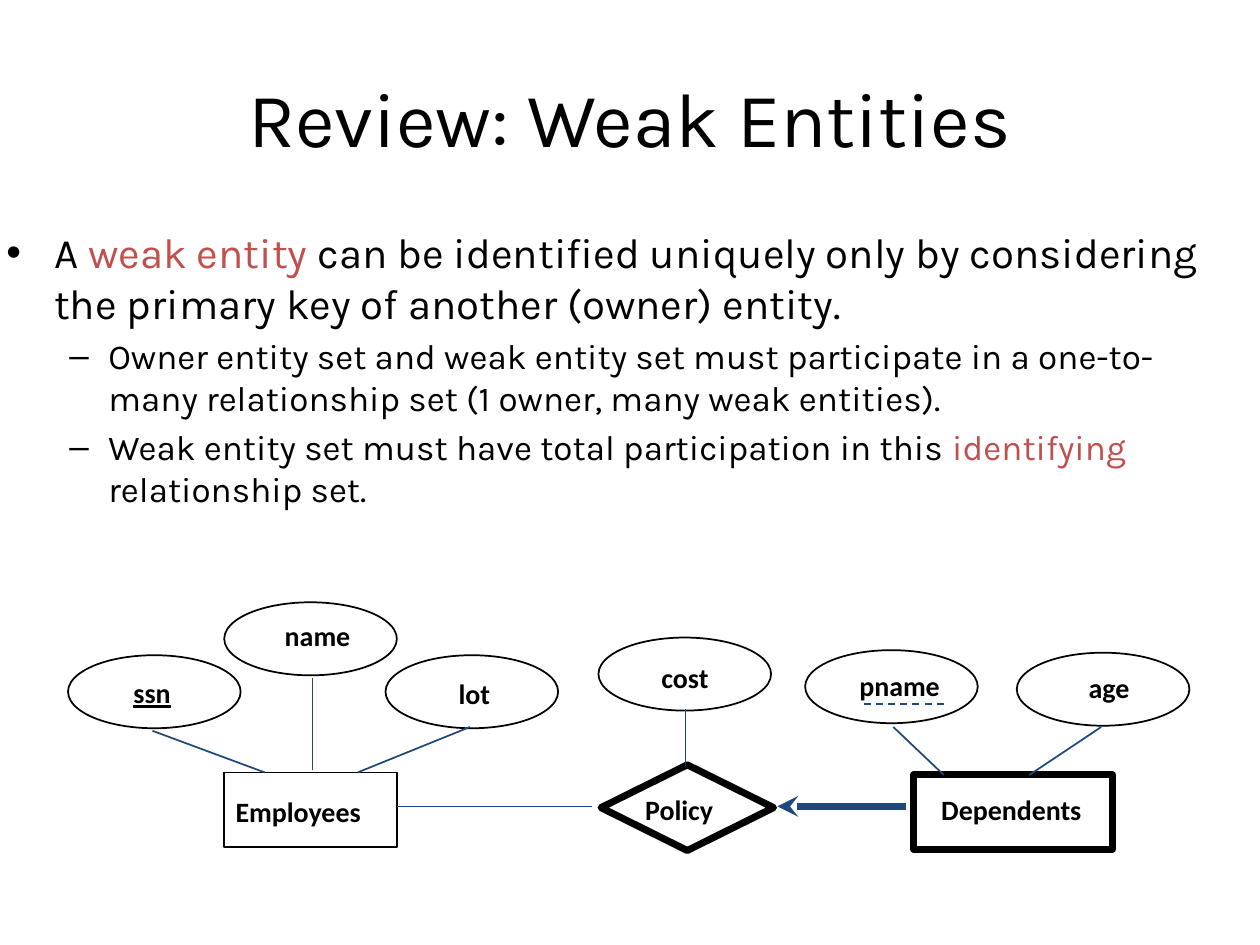
from dataclasses import dataclass

import lxml.etree
import pptx
import pptx.dml.color
import pptx.enum.dml
import pptx.enum.shapes
import pptx.enum.text
import pptx.oxml.ns
import pptx.util

COLUMNS, ROWS = 100, 75
Shape = pptx.enum.shapes.MSO_SHAPE
Align = pptx.enum.text.PP_ALIGN
Anchor = pptx.enum.text.MSO_ANCHOR
AutoSize = pptx.enum.text.MSO_AUTO_SIZE


@dataclass(frozen=True)
class Theme:
    ink: str = "000000"
    accent: str = "C0504D"
    link: str = "1F497D"
    text_font: str = "Karla"
    label_font: str = "Calibri"
    title_size: int = 44
    list_sizes: tuple = (24, 20)
    label_size: int = 16
    thin: int = 1
    thick: int = 4
    inset: float = 0.05


def color(value):
    return pptx.dml.color.RGBColor.from_string(value)


def add_xml(parent, tag, **attributes):
    return lxml.etree.SubElement(parent, pptx.oxml.ns.qn(tag), attributes)


def write(paragraph, text, *, font, size, ink, bold=False, underline=False):
    run = paragraph.add_run()
    run.text = text
    run.font.name = font
    run.font.size = pptx.util.Pt(size)
    run.font.color.rgb = color(ink)
    run.font.bold = bold
    run.font.underline = underline


class DiagramSlide:
    def __init__(self, presentation, theme):
        self.theme = theme
        self.slide = presentation.slides.add_slide(presentation.slide_layouts[1])
        self.column = presentation.slide_width / COLUMNS
        self.row = presentation.slide_height / ROWS

    def place(self, left, top, width, height):
        return (round(left * self.column), round(top * self.row),
                round(width * self.column), round(height * self.row))

    def prepare(self, shape, box, auto_size=AutoSize.NONE, wrap=True):
        shape.left, shape.top, shape.width, shape.height = self.place(*box)
        frame = shape.text_frame
        frame.word_wrap = wrap
        frame.auto_size = auto_size
        inset = pptx.util.Inches(self.theme.inset)
        frame.margin_left = frame.margin_right = inset
        frame.margin_top = frame.margin_bottom = inset
        return frame

    def title(self, text, box):
        frame = self.prepare(self.slide.shapes.title, box)
        frame.vertical_anchor = Anchor.MIDDLE
        paragraph = frame.paragraphs[0]
        paragraph.alignment = Align.CENTER
        write(paragraph, text, font=self.theme.text_font,
              size=self.theme.title_size, ink=self.theme.ink)

    def bullets(self, items, box):
        frame = self.prepare(self.slide.placeholders[1], box)
        indents = ((0.38, -0.38, "•"), (0.81, -0.31, "–"))
        for index, (level, parts) in enumerate(items):
            paragraph = frame.add_paragraph() if index else frame.paragraphs[0]
            paragraph.level = level
            paragraph.space_before = pptx.util.Pt(4 if index else 0)
            margin, indent, mark = indents[level]
            properties = paragraph._p.get_or_add_pPr()
            properties.set("marL", str(pptx.util.Inches(margin)))
            properties.set("indent", str(pptx.util.Inches(indent)))
            add_xml(properties, "a:buChar", char=mark)
            for text, ink in parts:
                write(paragraph, text, font=self.theme.text_font,
                      size=self.theme.list_sizes[level], ink=ink)

    def outline(self, kind, box, weight):
        shape = self.slide.shapes.add_shape(kind, *self.place(*box))
        shape.shadow.inherit = False
        shape.fill.background()
        shape.line.color.rgb = color(self.theme.ink)
        shape.line.width = pptx.util.Pt(weight)

    def label(self, text, box, underline=False):
        shape = self.slide.shapes.add_textbox(*self.place(*box))
        frame = self.prepare(shape, box, AutoSize.SHAPE_TO_FIT_TEXT, wrap=False)
        write(frame.paragraphs[0], text, font=self.theme.label_font,
              size=self.theme.label_size, ink=self.theme.ink,
              bold=True, underline=underline)

    def link(self, start, end, weight, dashed=False, arrow=False):
        connector = self.slide.shapes.add_connector(
            pptx.enum.shapes.MSO_CONNECTOR.STRAIGHT,
            *self.place(*start, *end))
        connector.line.color.rgb = color(self.theme.link)
        connector.line.width = pptx.util.Pt(weight)
        if dashed:
            connector.line.dash_style = pptx.enum.dml.MSO_LINE.DASH
        if arrow:
            add_xml(connector.line._get_or_add_ln(), "a:headEnd", type="stealth")
        add_xml(connector._element.spPr, "a:effectLst")


def main():
    theme = Theme()
    presentation = pptx.Presentation()
    presentation.slide_width = pptx.util.Inches(10)
    presentation.slide_height = pptx.util.Inches(7.5)
    diagram = DiagramSlide(presentation, theme)

    diagram.title("Review: Weak Entities", (5, 3, 90, 12.5))
    diagram.bullets([
        (0, [("A ", theme.ink), ("weak entity ", theme.accent),
             ("can be identified uniquely only by considering the primary key "
              "of another (owner) entity.", theme.ink)]),
        (1, [("Owner entity set and weak entity set must participate in a "
              "one-to-many relationship set (1 owner, many weak entities).",
              theme.ink)]),
        (1, [("Weak entity set must have total participation in this ", theme.ink),
             ("identifying ", theme.accent), ("relationship set.", theme.ink)]),
    ], (0, 17.5, 99.2, 54.2))

    attributes = [
        ("ssn", (5.4, 52), (10.1, 53.1, 4.4)),
        ("name", (17.8, 47.8), (22.1, 48.6, 6.5)),
        ("lot", (30.6, 52), (35.9, 53.2, 3.8)),
        ("cost", (47.5, 50.6), (52, 51.9, 5.6)),
        ("pname", (63.9, 51.6), (67.7, 52.6, 7.8)),
        ("age", (80.7, 51.8), (85.9, 52.7, 4.7)),
    ]
    for name, corner, label_box in attributes:
        diagram.outline(Shape.OVAL, (*corner, 13.7, 5.8), theme.thin)
        diagram.label(name, (*label_box, 3.9), underline=name == "ssn")

    entities = [
        ("Employees", Shape.RECTANGLE, (17.8, 61.3, 13.7, 5.9), theme.thin,
         (18.2, 62.6, 11.9)),
        ("Policy", Shape.DIAMOND, (47.7, 60.7, 13.7, 6.8), theme.thick,
         (50.7, 62.4, 7.2)),
        ("Dependents", Shape.RECTANGLE, (72.5, 61.5, 15.8, 5.9), theme.thick,
         (74.2, 62.4, 13.2)),
    ]
    for name, kind, box, weight, label_box in entities:
        diagram.outline(kind, box, weight)
        diagram.label(name, (*label_box, 3.9))

    links = [
        ((24.8, 53.8), (24.8, 61.1)),
        ((12.1, 58), (21, 61.3)),
        ((37.3, 57.7), (28.4, 61.3)),
        ((54.4, 60.8), (54.4, 56.3)),
        ((70.9, 57.7), (74.9, 61.5)),
        ((87.4, 57.7), (81.7, 61.5)),
        ((47, 64), (31.5, 64)),
    ]
    for start, end in links:
        diagram.link(start, end, theme.thin)
    diagram.link((74.9, 55.9), (68.2, 55.9), theme.thin, dashed=True)
    diagram.link((61.7, 64), (71.9, 64), theme.thick, arrow=True)

    presentation.save("out.pptx")


if __name__ == "__main__":
    main()
